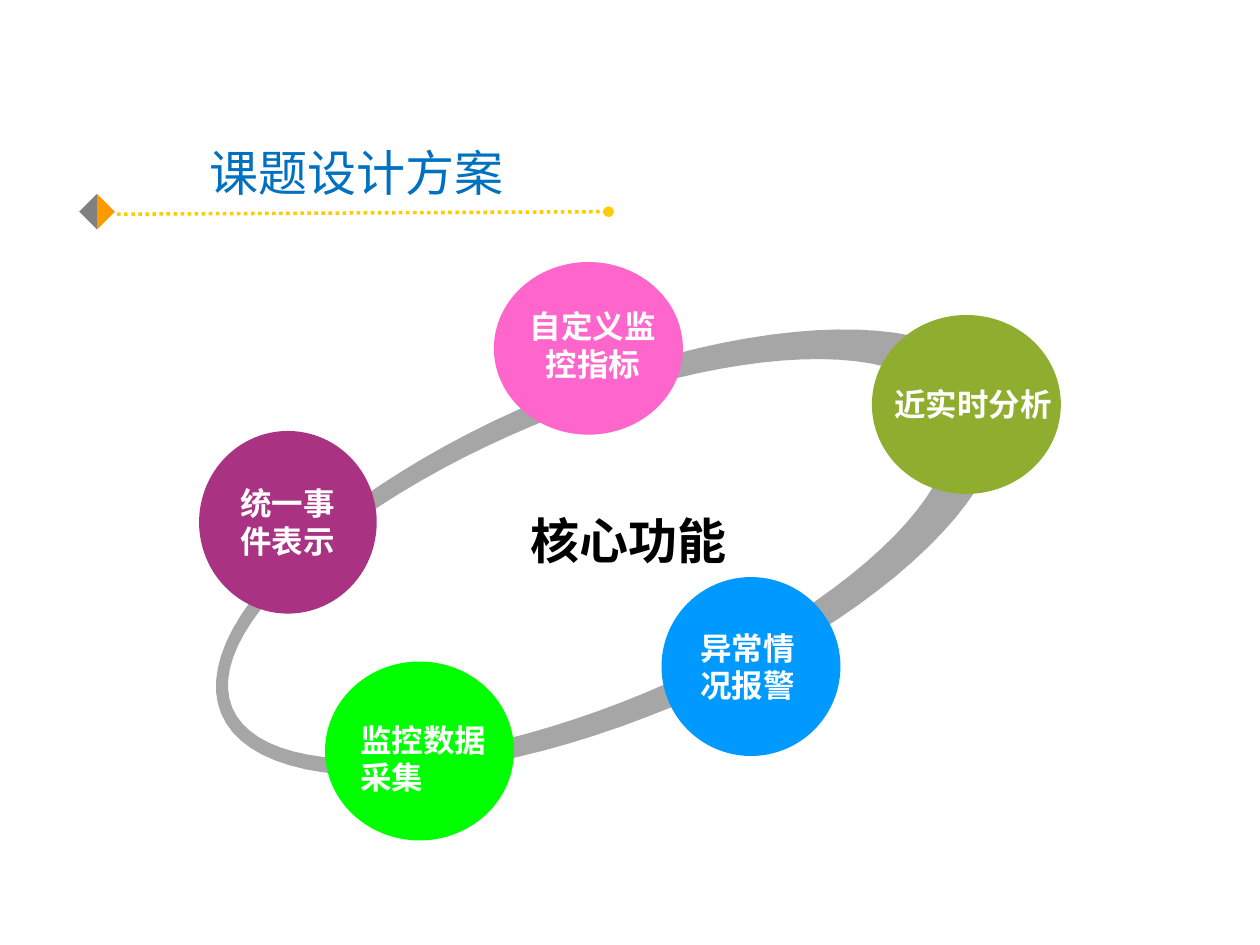
from math import cos, pi, sin

from lxml.etree import SubElement
from pptx import Presentation
from pptx.dml.color import RGBColor
from pptx.enum.dml import MSO_LINE
from pptx.enum.shapes import MSO_CONNECTOR, MSO_SHAPE
from pptx.enum.text import MSO_ANCHOR, MSO_AUTO_SIZE, PP_ALIGN
from pptx.oxml.ns import qn
from pptx.util import Inches, Pt

WHITE = RGBColor(0xFF, 0xFF, 0xFF)
BLACK = RGBColor(0x00, 0x00, 0x00)
TITLE_BLUE = RGBColor(0x00, 0x70, 0xC0)
GOLD = RGBColor(0xFF, 0xCC, 0x00)
GRAY = RGBColor(0x80, 0x80, 0x80)
ORANGE = RGBColor(0xFF, 0x99, 0x00)
RING_GRAY = RGBColor(0xA6, 0xA6, 0xA6)
PINK = RGBColor(0xFF, 0x66, 0xCC)
PURPLE = RGBColor(0xA9, 0x33, 0x82)
GREEN = RGBColor(0x00, 0xFF, 0x00)
BLUE = RGBColor(0x00, 0x99, 0xFF)
OLIVE = RGBColor(0x8F, 0xAD, 0x2F)

TITLE_FORMAT = {"name": "Noto Sans CJK SC", "size": Pt(28), "bold": False}
LABEL_FORMAT = {"name": "DejaVu Sans", "size": Pt(18), "bold": True}
CENTER_FORMAT = {"name": "Arial", "size": Pt(28), "bold": True}

FUNCTIONS = [
    ("自定义监控指标", PINK, (3.92, 2.08, 1.5, 1.37), (4.08, 2.39, 1.25, 0.71), PP_ALIGN.CENTER, True),
    ("统一事件表示", PURPLE, (1.58, 3.42, 1.41, 1.45), (1.81, 3.79, 1.08, 0.71), PP_ALIGN.LEFT, True),
    ("监控数据采集", GREEN, (2.58, 5.25, 1.5, 1.42), (2.76, 5.67, 1.24, 0.71), PP_ALIGN.LEFT, True),
    ("异常情况报警", BLUE, (5.25, 4.58, 1.42, 1.42), (5.46, 4.94, 1, 0.71), PP_ALIGN.LEFT, True),
    ("近实时分析", OLIVE, (6.92, 2.5, 1.5, 1.42), (7, 3.01, 1.47, 0.4), PP_ALIGN.LEFT, False),
]


def paint(shape, color):
    """Give a shape a plain fill without outline or shadow."""
    shape.shadow.inherit = False
    shape.fill.solid()
    shape.fill.fore_color.rgb = color
    shape.line.fill.background()


def write_text(shape, text, formats, color, alignment, wrap=True):
    """Write one formatted paragraph into a shape."""
    frame = shape.text_frame
    frame.word_wrap = wrap
    frame.auto_size = MSO_AUTO_SIZE.SHAPE_TO_FIT_TEXT
    frame.vertical_anchor = MSO_ANCHOR.TOP
    paragraph = frame.paragraphs[0]
    paragraph.alignment = alignment
    run = paragraph.add_run()
    run.text = text
    for attribute, value in formats.items():
        setattr(run.font, attribute, value)
    run.font.color.rgb = color
    SubElement(run.font._element, qn("a:ea"), typeface=formats["name"])


def add_title(slide, box):
    """Place the slide title in its box."""
    title = slide.shapes.title
    title.left, title.top, title.width, title.height = map(Inches, box)
    write_text(title, "课题设计方案", TITLE_FORMAT, TITLE_BLUE, PP_ALIGN.CENTER)


def add_title_rule(slide, left, middle, right):
    """Draw the two-tone diamond and the dotted rule under the title."""
    group = slide.shapes.add_group_shape()
    rule = group.shapes.add_connector(
        MSO_CONNECTOR.STRAIGHT, Inches(left + 0.26), Inches(middle + 0.02), Inches(right), Inches(middle))
    rule.line.color.rgb = GOLD
    rule.line.width = Pt(2)
    rule.line.dash_style = MSO_LINE.ROUND_DOT
    SubElement(rule.line._get_or_add_ln(), qn("a:tailEnd"), type="oval")
    SubElement(rule._element.spPr, qn("a:effectLst"))
    for color, rotation in ((GRAY, 45), (ORANGE, 225)):
        half = group.shapes.add_shape(
            MSO_SHAPE.RIGHT_TRIANGLE, Inches(left), Inches(middle - 0.1), Inches(0.2), Inches(0.2))
        half.rotation = rotation
        paint(half, color)


def ellipse_points(center_x, center_y, radius_x, radius_y, direction, steps=96):
    """Return the points of an ellipse, turning in the given direction."""
    angles = [direction * 2 * pi * step / steps for step in range(steps)]
    return [(Inches(center_x + radius_x * cos(angle)), Inches(center_y + radius_y * sin(angle)))
            for angle in angles]


def add_ring(slide, box):
    """Draw the tilted ring, whose hole sits off centre so that its width varies."""
    left, top, width, height = box
    center_x, center_y = left + width / 2, top + height / 2
    outer = ellipse_points(center_x, center_y, width / 2, height / 2, 1)
    inner = ellipse_points(center_x - 0.16, center_y - 0.01, 3.07, 1.15, -1)
    builder = slide.shapes.build_freeform(*outer[0])
    builder.add_line_segments(outer[1:])
    builder.move_to(*inner[0])
    builder.add_line_segments(inner[1:])
    ring = builder.convert_to_shape()
    ring.rotation = 337.4
    paint(ring, RING_GRAY)


def add_label(slide, box, *text_settings):
    """Add a text box with one formatted paragraph."""
    write_text(slide.shapes.add_textbox(*map(Inches, box)), *text_settings)


def add_functions(slide):
    """Place the coloured circles on the ring, then their labels."""
    for _, color, circle_box, *_ in FUNCTIONS:
        paint(slide.shapes.add_shape(MSO_SHAPE.OVAL, *map(Inches, circle_box)), color)
    for text, _, _, label_box, alignment, wrap in FUNCTIONS:
        add_label(slide, label_box, text, LABEL_FORMAT, WHITE, alignment, wrap)


def main():
    """Build and save the slide."""
    presentation = Presentation()
    presentation.slide_width, presentation.slide_height = Inches(10), Inches(7.5)
    slide = presentation.slides.add_slide(presentation.slide_layouts[5])
    add_title_rule(slide, 0.67, 1.68, 4.83)
    add_title(slide, (0.92, 1.08, 3.82, 0.57))
    add_ring(slide, (1.5, 3.06, 6.66, 2.65))
    add_functions(slide)
    add_label(slide, (3.73, 4, 2.52, 0.57), "核心功能", CENTER_FORMAT, BLACK, PP_ALIGN.CENTER)
    presentation.save("out.pptx")


if __name__ == "__main__":
    main()
